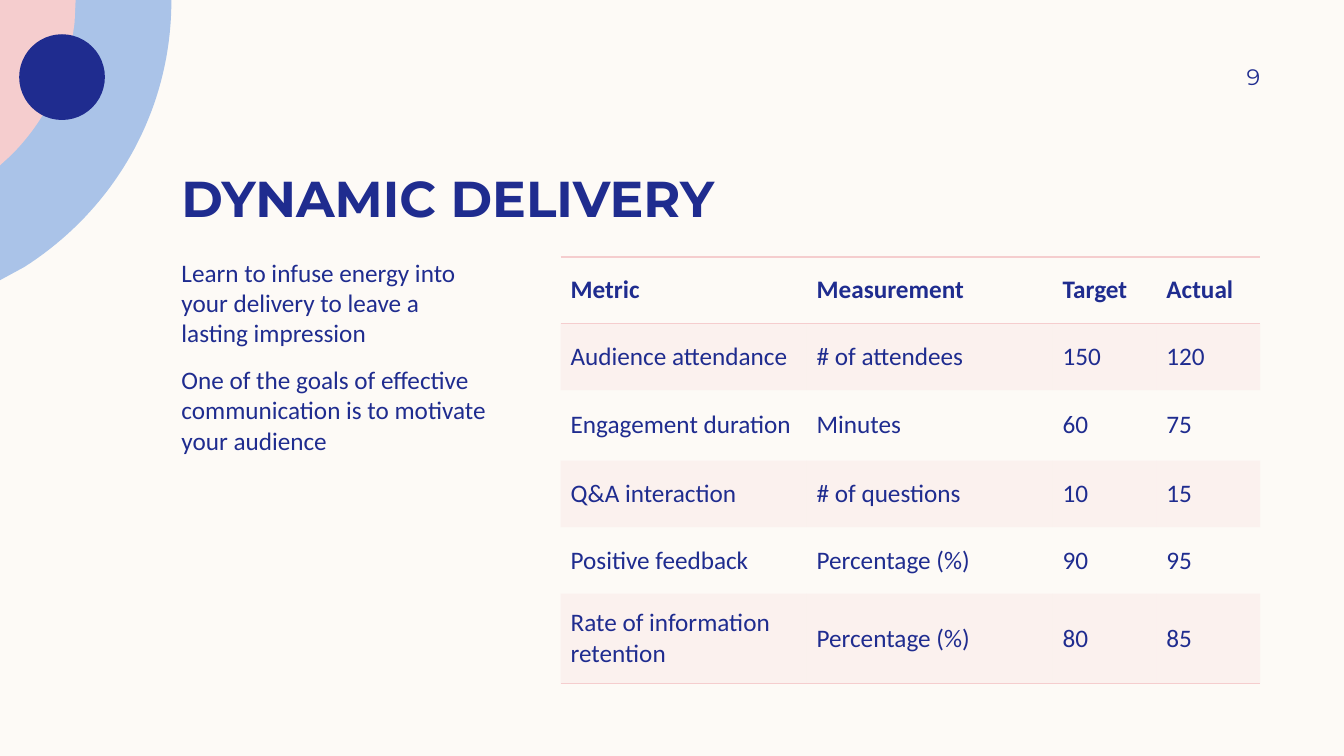
"""Build the Dynamic Delivery slide with its metrics table."""
from lxml.etree import SubElement, fromstring
from pptx import Presentation
from pptx.dml.color import RGBColor as RGB
from pptx.enum.shapes import MSO_SHAPE as SHAPE
from pptx.enum.text import MSO_ANCHOR as ANCHOR, MSO_AUTO_SIZE as AUTO, PP_ALIGN as ALIGN
from pptx.oxml.ns import nsdecls, qn
from pptx.util import Inches, Pt

HUES = {"cream": "FDFAF6", "sky": "AAC3E8", "pink": "F5CDCE", "navy": "1F2C8F"}


def paint(shape, hue):
    shape.shadow.inherit = False
    shape.fill.solid()
    shape.fill.fore_color.rgb = RGB.from_string(HUES[hue])
    shape.line.fill.background()


def style(para, face, size, bold=False):
    for run in para.runs:
        run.font.name = face
        run.font.size = Pt(size)
        run.font.bold = bold
        run.font.color.rgb = RGB.from_string(HUES["navy"])


prs = Presentation()
prs.slide_width, prs.slide_height = Inches(13.33), Inches(7.5)
slide = prs.slides.add_slide(prs.slide_layouts[2])
slide.background.fill.solid()
slide.background.fill.fore_color.rgb = RGB.from_string(HUES["cream"])
shapes = slide.shapes

arcs = [
    ("sky", 1.7, 2.78, [(1.7, 0.01), (1.7, 1.12), (1.12, 2.09), (0.24, 2.65)]),
    ("pink", 0.75, 1.64, [(0.74, 0.22), (0.68, 0.73), (0.46, 1.19), (0.11, 1.54)]),
]
for hue, right, low, curve in arcs:
    dots = [(right, 0)]
    for step in range(41):
        t = step / 40
        parts = [(1 - t) ** 3, 3 * t * (1 - t) ** 2, 3 * t ** 2 * (1 - t), t ** 3]
        dots.append([sum(w * dot[axis] for w, dot in zip(parts, curve)) for axis in (0, 1)])
    dots.append((0, low))
    form = shapes.build_freeform(0, 0)
    form.add_line_segments([(Inches(x), Inches(y)) for x, y in dots])
    paint(form.convert_to_shape(), hue)
disc = shapes.add_shape(SHAPE.OVAL, Inches(0.19), Inches(0.34), Inches(0.85), Inches(0.85))
paint(disc, "navy")

title, body = slide.placeholders
page = shapes.add_textbox(Inches(11.33), Inches(0.5), Inches(1.17), Inches(0.52))
blocks = [
    (title, (1.7, 1.19, 10.8, 1.07), ANCHOR.BOTTOM, ["DYNAMIC DELIVERY"], "Montserrat", 36),
    (body, (1.7, 2.55, 3.25, 4.05), ANCHOR.TOP, [
        "Learn to infuse energy into your delivery to leave a lasting impression",
        "One of the goals of effective communication is to motivate your audience",
    ], "Calibri", 18),
    (page, (11.33, 0.5, 1.17, 0.52), ANCHOR.MIDDLE, ["9"], "Montserrat", 16),
]
for box, spot, anchor, lines, face, size in blocks:
    box.left, box.top, box.width, box.height = [Inches(n) for n in spot]
    frame = box.text_frame
    frame.text = "\n".join(lines)
    frame.word_wrap = True
    frame.auto_size = AUTO.NONE
    frame.vertical_anchor = anchor
    frame.margin_left = frame.margin_right = Inches(0.1)
    frame.margin_top = frame.margin_bottom = 0
    for para in frame.paragraphs:
        para.alignment = ALIGN.LEFT
        para.space_before = 0
        para.space_after = Pt(12 if box is body else 0)
        style(para, face, size, box is title)
page.text_frame.margin_right = 0
page.text_frame.margin_top = page.text_frame.margin_bottom = Inches(0.05)
page.text_frame.paragraphs[0].alignment = ALIGN.RIGHT

rows = [
    ("Metric", "Measurement", "Target", "Actual"),
    ("Audience attendance", "# of attendees", "150", "120"),
    ("Engagement duration", "Minutes", "60", "75"),
    ("Q&A interaction", "# of questions", "10", "15"),
    ("Positive feedback", "Percentage (%)", "90", "95"),
    ("Rate of information retention", "Percentage (%)", "80", "85"),
]
grid = shapes.add_table(6, 4, Inches(5.56), Inches(2.55), Inches(6.94), Inches(4.23))
for tag in grid.element.iter(qn("a:tableStyleId")):
    tag.text = "{2D5ABB26-0587-4C30-8999-92F81FD0307C}"
table = grid.table
table.horz_banding = False
for col, wide in zip(table.columns, (2.44, 2.44, 1.03, 1.03)):
    col.width = Inches(wide)
for row, high in zip(table.rows, (0.66, 0.66, 0.7, 0.66, 0.66, 0.89)):
    row.height = Inches(high)

edges = {0: ("lnB", "lnT"), 5: ("lnB",)}
for r, texts in enumerate(rows):
    for c, text in enumerate(texts):
        cell = table.cell(r, c)
        cell.text = text
        cell.vertical_anchor = ANCHOR.MIDDLE
        style(cell.text_frame.paragraphs[0], "Calibri", 18, r == 0)
        props = cell._tc.get_or_add_tcPr()
        if r % 2:
            cell.fill.solid()
            cell.fill.fore_color.rgb = RGB.from_string(HUES["pink"])
            SubElement(props.find(".//" + qn("a:srgbClr")), qn("a:alpha"), val="20000")
        else:
            cell.fill.background()
        for edge in edges.get(r, ()):
            props.insert(0, fromstring(
                f'<a:{edge} {nsdecls("a")} w="{Pt(1)}"><a:solidFill>'
                f'<a:srgbClr val="{HUES["pink"]}"/></a:solidFill></a:{edge}>'))

prs.save("out.pptx")
